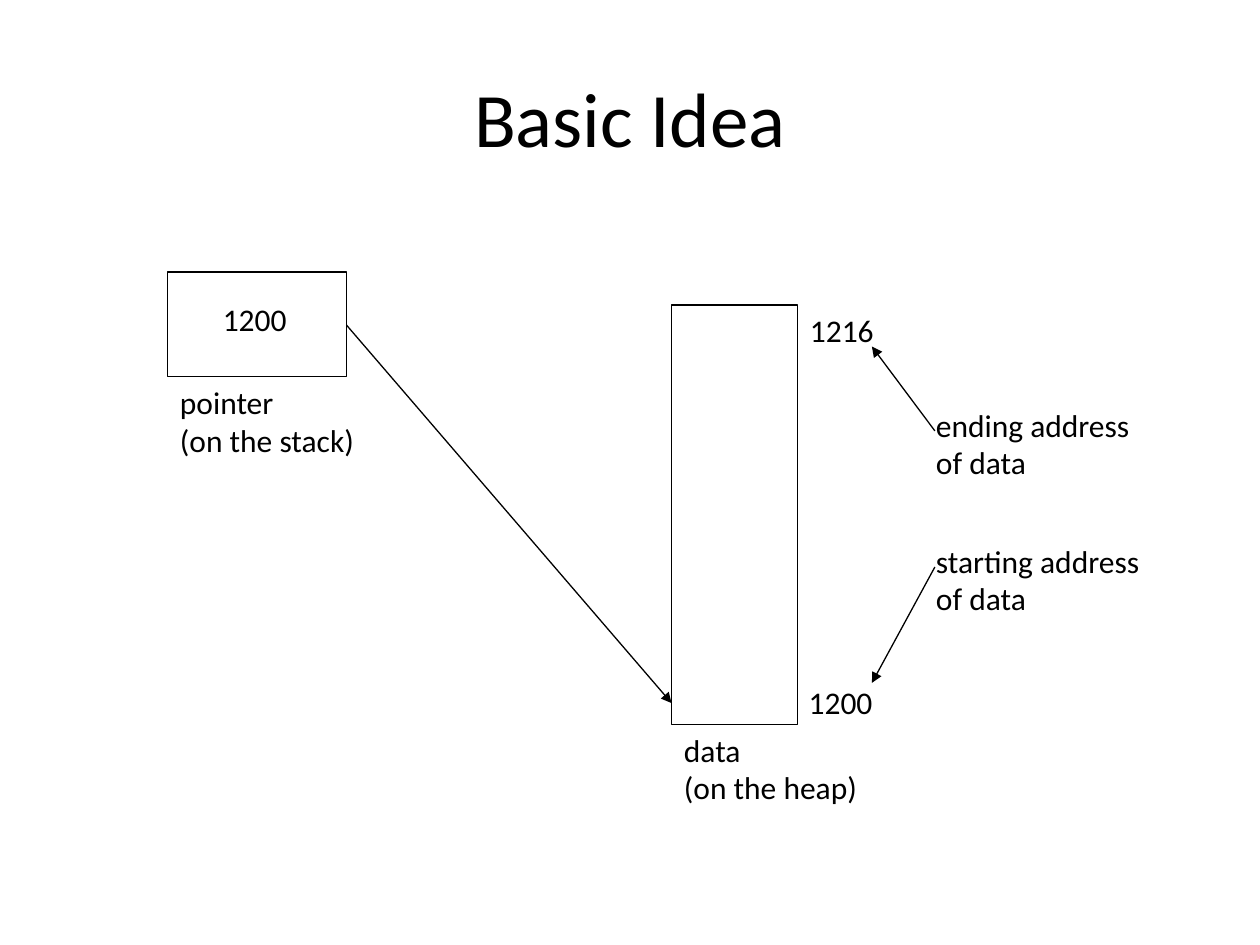
"""Builds the slide on a stack pointer and the heap data it refers to."""
from pptx import Presentation
from pptx import util as u
from pptx.dml import color
from pptx.enum import shapes, text
from pptx.oxml import ns, xmlchemy

COLORS = {"ink": "000000", "paper": "FFFFFF"}
FONT = "Calibri"


def rgb(name):
    """Return the named colour."""
    return color.RGBColor.from_string(COLORS[name])


def add_label(slide, left, top, width, height, lines, size=18, wrap=False):
    """Place a text box with one paragraph per line and return its frame."""
    label = slide.shapes.add_textbox(*map(u.Inches, (left, top, width, height)))
    frame = label.text_frame
    frame.text = "\n".join(lines)
    frame.word_wrap = wrap
    for paragraph in frame.paragraphs:
        for run in paragraph.runs:
            run.font.name = FONT
            run.font.size = u.Pt(size)
            run.font.color.rgb = rgb("ink")
    return frame


def add_cell(slide, left, top, width, height):
    """Draw an outlined block of memory."""
    cell = slide.shapes.add_shape(
        shapes.MSO_SHAPE.RECTANGLE, *map(u.Inches, (left, top, width, height)))
    cell.shadow.inherit = False
    cell.fill.background()
    cell.line.color.rgb = rgb("ink")
    cell.line.width = u.Pt(0.75)


def add_arrow(slide, start, end):
    """Draw a thin arrow that points at its end."""
    arrow = slide.shapes.add_connector(
        shapes.MSO_CONNECTOR.STRAIGHT, *map(u.Inches, (*start, *end)))
    arrow.line.color.rgb = rgb("ink")
    arrow.line.width = u.Pt(0.75)
    head = xmlchemy.OxmlElement("a:tailEnd")
    head.set("type", "triangle")
    arrow.line._get_or_add_ln().append(head)
    arrow._element.spPr.append(xmlchemy.OxmlElement("a:effectLst"))


def add_title(slide, left, top, width, height):
    """Place the centred heading."""
    frame = add_label(slide, left, top, width, height, ["Basic Idea"], 44, True)
    frame.vertical_anchor = text.MSO_ANCHOR.MIDDLE
    frame.paragraphs[0].alignment = text.PP_ALIGN.CENTER


def add_pointer(slide, left, top, width, height):
    """Draw the pointer on the stack with its value and caption."""
    add_cell(slide, left, top, width, height)
    add_label(slide, left + 0.34, top + 0.17, 0.76, 0.4, ["1200"])
    add_label(slide, left, top + height, 1.72, 0.7,
              ["pointer", "(on the stack)"])


def add_heap_data(slide, left, top, width, height):
    """Draw the heap data with its caption and its two addresses."""
    right, bottom = left + width, top + height
    add_cell(slide, left, top, width, height)
    add_label(slide, left, bottom, 1.69, 0.7, ["data", "(on the heap)"])
    add_label(slide, right, top, 0.76, 0.4, ["1216"])
    add_label(slide, right - 0.01, bottom - 0.38, 0.76, 0.4, ["1200"])
    notes = [
        ("ending address", 1.91, 0.75, 1, 0.33),
        ("starting address", 1.98, 1.83, 2.08, 3),
    ]
    for note, note_width, note_top, tail_y, head_y in notes:
        add_label(slide, right + 1, top + note_top, note_width, 0.7,
                  [note, "of data"])
        add_arrow(slide, (right + 1.09, top + tail_y),
                  (right + 0.59, top + head_y))


def main():
    """Build and save the slide."""
    deck = Presentation()
    deck.slide_width, deck.slide_height = u.Inches(10), u.Inches(7.5)
    slide = deck.slides.add_slide(deck.slide_layouts[6])
    slide.background.fill.solid()
    slide.background.fill.fore_color.rgb = rgb("paper")
    add_title(slide, 0.5, 0.3, 9, 1.25)
    add_pointer(slide, 1.33, 2.16, 1.42, 0.83)
    add_heap_data(slide, 5.33, 2.42, 1, 3.33)
    add_arrow(slide, (2.75, 2.58), (5.33, 5.58))
    deck.save("out.pptx")


if __name__ == "__main__":
    main()
